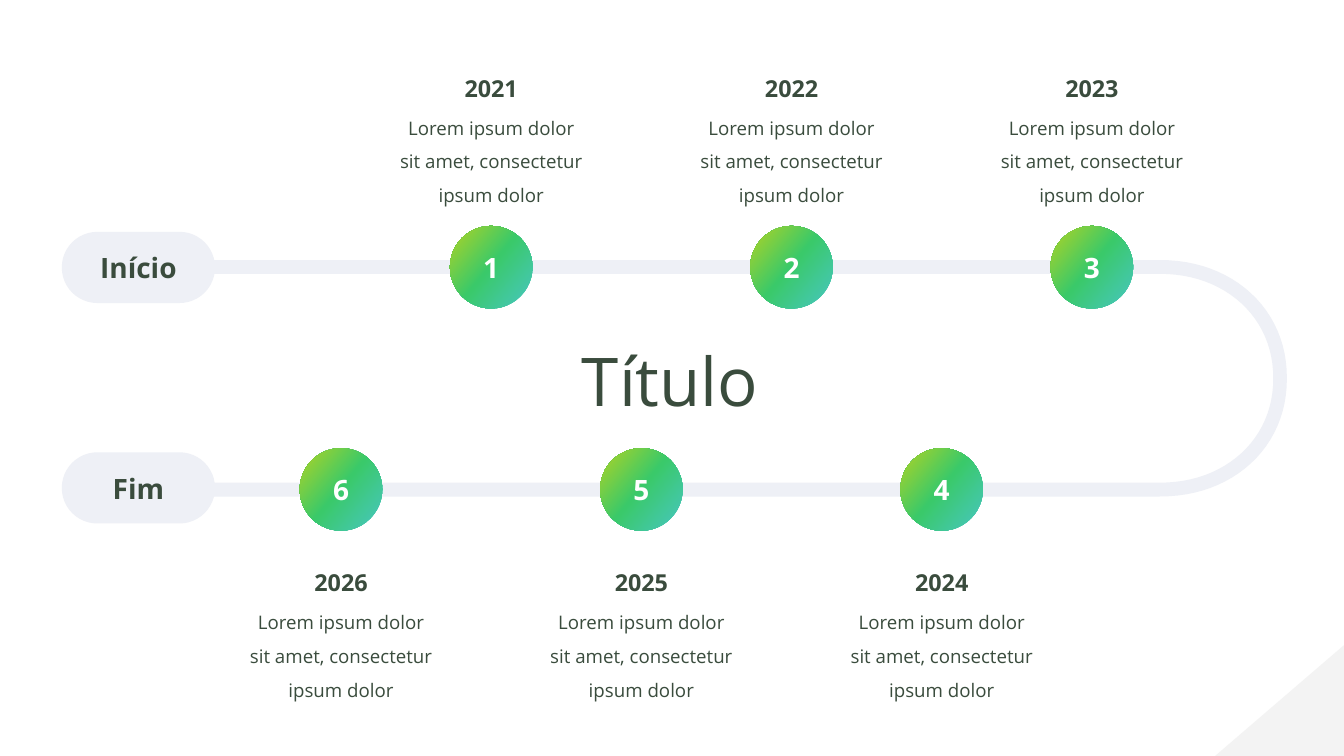
from copy import deepcopy
from math import cos, pi, sin

from lxml import etree
from pptx import Presentation
from pptx.dml.color import RGBColor
from pptx.enum.shapes import MSO_SHAPE
from pptx.enum.text import MSO_ANCHOR, MSO_AUTO_SIZE, PP_ALIGN
from pptx.oxml.ns import qn
from pptx.util import Pt

OVAL, PILL, TRIANGLE = MSO_SHAPE.OVAL, MSO_SHAPE.ROUNDED_RECTANGLE, MSO_SHAPE.ISOSCELES_TRIANGLE
TOP, MIDDLE = MSO_ANCHOR.TOP, MSO_ANCHOR.MIDDLE
GROW = MSO_AUTO_SIZE.SHAPE_TO_FIT_TEXT
CENTER = PP_ALIGN.CENTER

rgb = RGBColor.from_string
INK, TRACK, WHITE, CORNER = "3A4C3D", "EEF0F6", "FFFFFF", "E8E8E8"
GRADIENT = [(0.10, "45C7B1"), (0.51, "3AC96A"), (0.90, "99D132")]
BODY = ["Lorem ipsum dolor sit amet, consectetur", "ipsum dolor"]


def write(sp, lines, size, color=INK, bold=False, spacing=None, anchor=TOP):
    tf = sp.text_frame
    tf.word_wrap = True
    tf.vertical_anchor = anchor
    tf.text = "\n".join(lines)
    for p in tf.paragraphs:
        p.alignment = CENTER
        p.line_spacing = spacing
        font = p.runs[0].font
        font.name, font.size, font.bold = "Open Sans", Pt(size), bold
        font.color.rgb = rgb(color)


def add_shape(kind, x, y, w, h, color):
    sp = s.shapes.add_shape(kind, Pt(x), Pt(y), Pt(w), Pt(h))
    sp.shadow.inherit = False
    sp.line.fill.background()
    sp.fill.solid()
    sp.fill.fore_color.rgb = rgb(color)
    return sp


prs = Presentation()
prs.slide_width, prs.slide_height = Pt(1440), Pt(810)
s = prs.slides.add_slide(prs.slide_layouts[5])

# Title
title = s.shapes.title
title.left, title.top, title.width, title.height = Pt(321.8), Pt(360), Pt(792.7), Pt(94.3)
write(title, ["Título"], 72)
title.text_frame.auto_size = GROW

# Track: two straight lanes joined by a rounded bend
track_left, bend_x, bend_y = 100, 1242, 405.3
steps, power = 48, 2 / 2.1
outline = [(track_left, bend_y - 126.7)]
for rx, ry, direction in [(136.8, 126.7, 1), (122.2, 111.9, -1)]:
    for i in range(steps + 1):
        a = direction * (i / steps - 0.5) * pi
        side = 1 if a > 0 else -1
        outline.append((bend_x + rx * abs(cos(a)) ** power,
                        bend_y + side * ry * abs(sin(a)) ** power))
    outline.append((track_left, bend_y + direction * ry))
    if direction == 1:
        outline.append((track_left, bend_y + 111.9))
points = [(Pt(x), Pt(y)) for x, y in outline]
builder = s.shapes.build_freeform(*points[0])
builder.add_line_segments(points[1:], close=True)
track = builder.convert_to_shape()
track.shadow.inherit = False
track.line.fill.background()
track.fill.solid()
track.fill.fore_color.rgb = rgb(TRACK)

# Start and end labels
for label, y in [("Início", 248.4), ("Fim", 484.6)]:
    pill = add_shape(PILL, 66.2, y, 164.2, 76.3, TRACK)
    pill.adjustments[0] = 0.5
    write(pill, [label], 30, bold=True, anchor=MIDDLE)

# Milestones: number, half-step column, circle centre, top of the year
first_x, half_step, diameter = 365.4, 160.9, 88.5
for number, column in enumerate([1, 3, 5, 4, 2, 0], start=1):
    x = first_x + column * half_step
    y, year_y = (286.3, 75.6) if number <= 3 else (524.4, 605.5)

    circle = add_shape(OVAL, x - diameter / 2, y - diameter / 2, diameter, diameter, WHITE)
    circle.fill.gradient()
    circle.fill.gradient_angle = 140
    stops = circle._element.spPr.find(".//" + qn("a:gsLst"))
    stops.append(deepcopy(stops[0]))
    for stop, (position, color) in zip(circle.fill.gradient_stops, GRADIENT):
        stop.position = position
        stop.color.rgb = rgb(color)
    write(circle, [str(number)], 30, WHITE, bold=True, anchor=MIDDLE)

    year = s.shapes.add_textbox(Pt(x - 70), Pt(year_y), Pt(140), Pt(37.4))
    write(year, [str(2020 + number)], 25, bold=True)
    year.text_frame.auto_size = GROW
    body = s.shapes.add_textbox(Pt(x - 108.7), Pt(year_y + 33.8), Pt(217.4), Pt(112.3))
    write(body, BODY, 20, spacing=1.5)
    body.text_frame.auto_size = GROW

# Corner triangle, half transparent
corner = add_shape(TRIANGLE, 1301.8, 691.2, 138.2, 118.8, CORNER)
corner.adjustments[0] = 1
color = corner._element.spPr.find(".//" + qn("a:srgbClr"))
etree.SubElement(color, qn("a:alpha"), val="50000")

prs.save("out.pptx")
